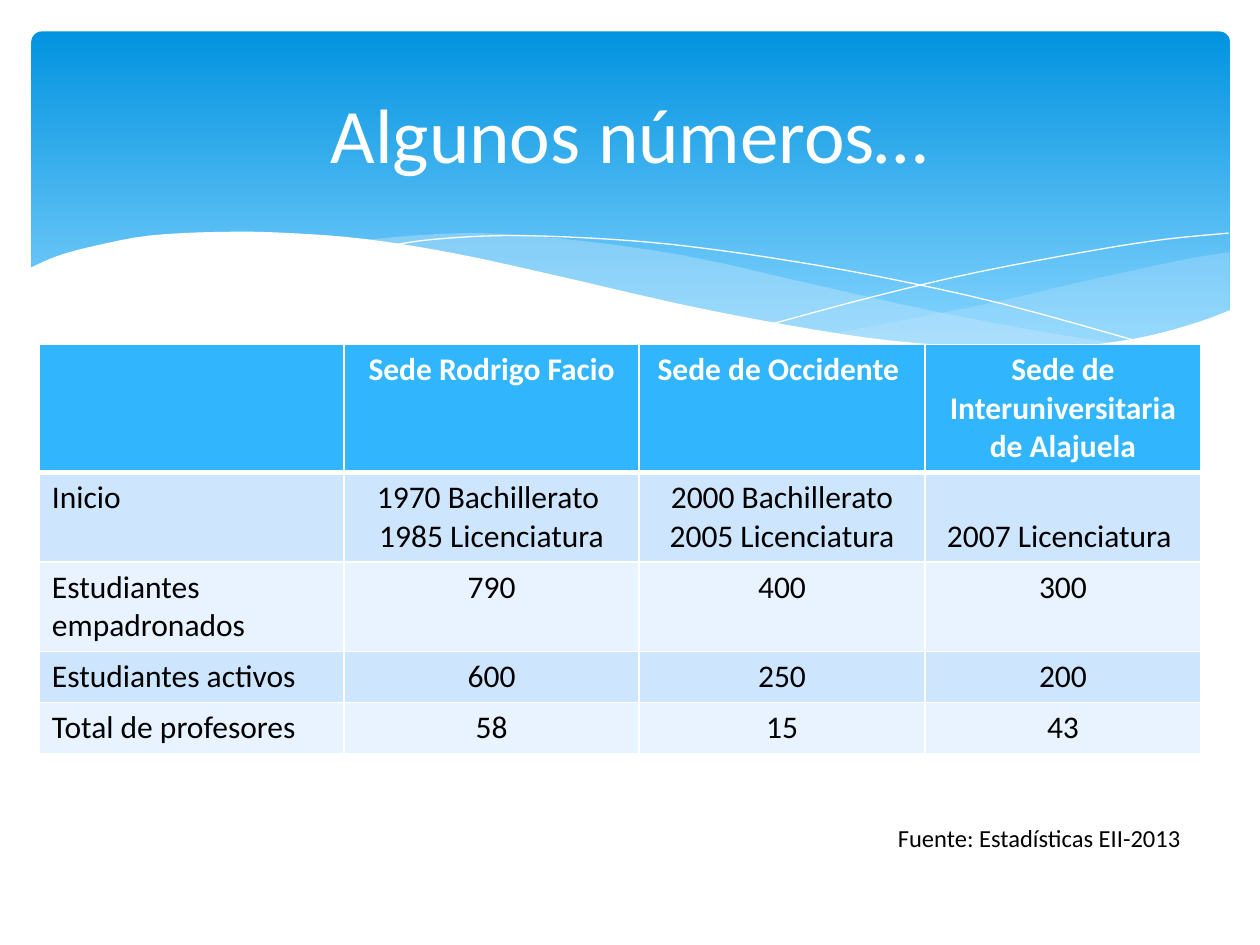
from lxml import etree
from pptx import Presentation
from pptx import util as u
from pptx.dml.color import RGBColor
from pptx.enum import shapes, text
from pptx.oxml.ns import qn

COLORS = {
    "white": "FFFFFF", "black": "000000",
    "sky_dark": "0293E0", "sky_light": "83D3FE", "mist": "C6E7FC",
    "header": "31B6FD", "odd_row": "CEE5FE", "even_row": "E8F3FF",
}
LEFT, CENTER = text.PP_ALIGN.LEFT, text.PP_ALIGN.CENTER
TOP, MIDDLE, BOTTOM = text.MSO_ANCHOR.TOP, text.MSO_ANCHOR.MIDDLE, text.MSO_ANCHOR.BOTTOM

RIGHT_BAND_TOP = [(702.7, 144), (673.2, 149), (619.9, 160.6), (560.9, 174.2), (475.9, 190.8)]
RIGHT_BAND_BOTTOM = [(475.9, 190.8), (507.6, 195.1), (545, 198.7), (586.1, 200.2),
                     (621.4, 198), (663.1, 190.8), (702.7, 177.8)]
MIDDLE_BAND_TOP = [(643, 196.6), (602.6, 190.8), (533.5, 177.8), (452.9, 159.8), (409.7, 149.8),
                   (370.1, 142.6), (318.2, 136.1), (273.6, 133.2), (236.2, 134.6), (205.9, 137.5)]
MIDDLE_BAND_BOTTOM = [(205.9, 137.5), (246.2, 143.3), (290.9, 151.9), (353.5, 167),
                      (407.5, 178.6), (456.5, 187.9), (510.5, 195.8), (565.2, 200.2),
                      (603.4, 200.2), (643, 196.6)]
FALLING_LINE = [(222.5, 140.4), (247.7, 136.8), (288.7, 134.6), (337.7, 136.1), (383.8, 139.7),
                (437.8, 146.9), (500.4, 157.7), (572.4, 173.5), (653, 195.8)]
RISING_LINE = [(441.4, 185), (500.4, 169.2), (558.7, 155.5), (623.5, 143.3),
               (665.3, 136.8), (702, 133.2)]
WHITE_WAVE = [(16.6, 153.4), (33.1, 146.2), (54.7, 140.4), (85.7, 134.6), (127.4, 132.5),
              (165.6, 133.2), (210.2, 136.8), (262.8, 145.4), (321.8, 158.4), (380.9, 172.1),
              (434.2, 182.9), (495.4, 193), (547.9, 198), (582.5, 199.4), (621.4, 197.3),
              (655.2, 192.2), (684, 184.3), (703.4, 177.1)]
WHITE_BASE = [(703.4, 236.9), (16.6, 236.9)]

COLUMN_WIDTHS = [174.2, 168.5, 163.4, 157.7]
ROW_HEIGHTS = [72, 50.4, 50.4, 29.2, 29.2]
CAMPUS_ROWS = [
    ["", "Sede Rodrigo Facio", "Sede de Occidente ", "Sede de Interuniversitaria de Alajuela"],
    ["Inicio", "1970 Bachillerato \n1985 Licenciatura",
     "2000 Bachillerato\n2005 Licenciatura", "2007 Licenciatura "],
    ["Estudiantes empadronados", "790", "400", "300"],
    ["Estudiantes activos", "600", "250", "200"],
    ["Total de profesores", "58", "15", "43"],
]


def rgb(color):
    return RGBColor.from_string(COLORS[color])


def smooth(knots, steps=4):
    """Sample a Catmull-Rom curve that passes through all knots."""
    padded = [knots[0], *knots, knots[-1]]
    points = []
    for a, b, c, d in zip(padded, padded[1:], padded[2:], padded[3:]):
        for t in (step / steps for step in range(steps)):
            points.append(tuple(
                (2 * q + (r - p) * t + (2 * p - 5 * q + 4 * r - s) * t ** 2
                 + (3 * q - p - 3 * r + s) * t ** 3) / 2
                for p, q, r, s in zip(a, b, c, d)))
    return points + [knots[-1]]


class SlideBuilder:
    def __init__(self, slide, font="Calibri"):
        self.slide = slide
        self.font = font

    def add_lines(self, frame, content, size, color, align=LEFT, bold=False):
        for index, line in enumerate(content.split("\n")):
            paragraph = frame.add_paragraph() if index else frame.paragraphs[0]
            paragraph.alignment = align
            if line:
                run = paragraph.add_run()
                run.text = line
                run.font.name = self.font
                run.font.size = u.Pt(size)
                run.font.bold = bold
                run.font.color.rgb = rgb(color)

    def label(self, box, content, size, color, align=LEFT, anchor=TOP, wrap=True):
        frame = self.slide.shapes.add_textbox(*map(u.Pt, box)).text_frame
        frame.word_wrap = wrap
        frame.vertical_anchor = anchor
        self.add_lines(frame, content, size, color, align)

    def sky(self, box, corner):
        panel = self.slide.shapes.add_shape(shapes.MSO_SHAPE.ROUNDED_RECTANGLE, *map(u.Pt, box))
        panel.adjustments[0] = corner
        panel.shadow.inherit = False
        panel.line.fill.background()
        panel.fill.gradient()
        panel.fill.gradient_angle = 270
        stops = zip(panel.fill.gradient_stops, ("sky_dark", "sky_light"), (0, 0.9))
        for stop, color, position in stops:
            stop.color.rgb = rgb(color)
            stop.position = position

    def outline(self, points, closed):
        start, *rest = [(u.Pt(x), u.Pt(y)) for x, y in points]
        builder = self.slide.shapes.build_freeform(*start)
        builder.add_line_segments(rest, close=closed)
        shape = builder.convert_to_shape()
        shape.shadow.inherit = False
        return shape

    def area(self, points, color, opacity=100):
        shape = self.outline(points, closed=True)
        shape.line.fill.background()
        shape.fill.solid()
        shape.fill.fore_color.rgb = rgb(color)
        if opacity < 100:
            tint = shape._element.spPr.find(qn("a:solidFill"))[0]
            etree.SubElement(tint, qn("a:alpha"), val=str(opacity * 1000))

    def hairline(self, points, color):
        shape = self.outline(points, closed=False)
        shape.fill.background()
        shape.line.color.rgb = rgb(color)
        shape.line.width = u.Pt(0)

    def borders(self, cell, color, widths):
        """Draw the cell's left, right, top and bottom edges."""
        properties = cell._tc.get_or_add_tcPr()
        for side, width in zip("LRTB", widths):
            edge = etree.SubElement(properties, qn(f"a:ln{side}"), w=str(u.Pt(width)))
            fill = etree.SubElement(edge, qn("a:solidFill"))
            etree.SubElement(fill, qn("a:srgbClr"), val=COLORS[color])

    def table(self, left, top, widths, heights, rows):
        table = self.slide.shapes.add_table(
            len(rows), len(widths), u.Pt(left), u.Pt(top),
            u.Pt(sum(widths)), u.Pt(sum(heights))).table
        for column, width in zip(table.columns, widths):
            column.width = u.Pt(width)
        for r, (height, entries) in enumerate(zip(heights, rows)):
            table.rows[r].height = u.Pt(height)
            header = r == 0
            background = "header" if header else "odd_row" if r % 2 else "even_row"
            for c, entry in enumerate(entries):
                cell = table.cell(r, c)
                self.borders(cell, "white", (1, 1, 3 if r == 1 else 1, 3 if header else 1))
                cell.fill.solid()
                cell.fill.fore_color.rgb = rgb(background)
                self.add_lines(cell.text_frame, entry, 18, "white" if header else "black",
                               CENTER if c or header else LEFT, bold=header)
        return table


def main():
    deck = Presentation()
    deck.slide_width, deck.slide_height = u.Pt(720), u.Pt(540)
    page = SlideBuilder(deck.slides.add_slide(deck.slide_layouts[6]))

    page.sky((18, 18, 684.7, 194.4), corner=0.03)
    page.area(smooth(RIGHT_BAND_TOP) + smooth(RIGHT_BAND_BOTTOM), "mist", 29)
    page.area(smooth(MIDDLE_BAND_TOP) + smooth(MIDDLE_BAND_BOTTOM), "mist", 40)
    page.hairline(smooth(FALLING_LINE), "white")
    page.hairline(smooth(RISING_LINE), "white")
    page.area(smooth(WHITE_WAVE) + WHITE_BASE, "white")

    campuses = page.table(22.5, 196.8, COLUMN_WIDTHS, ROW_HEIGHTS, CAMPUS_ROWS)
    campuses.cell(1, 3).vertical_anchor = BOTTOM
    page.label((36, 26.6, 648, 98.6), "Algunos números…", 44, "white", CENTER, MIDDLE)
    page.label((506, 466.6, 180, 24.2), "Fuente: Estadísticas EII-2013", 14, "black", wrap=False)

    deck.save("out.pptx")


if __name__ == "__main__":
    main()
